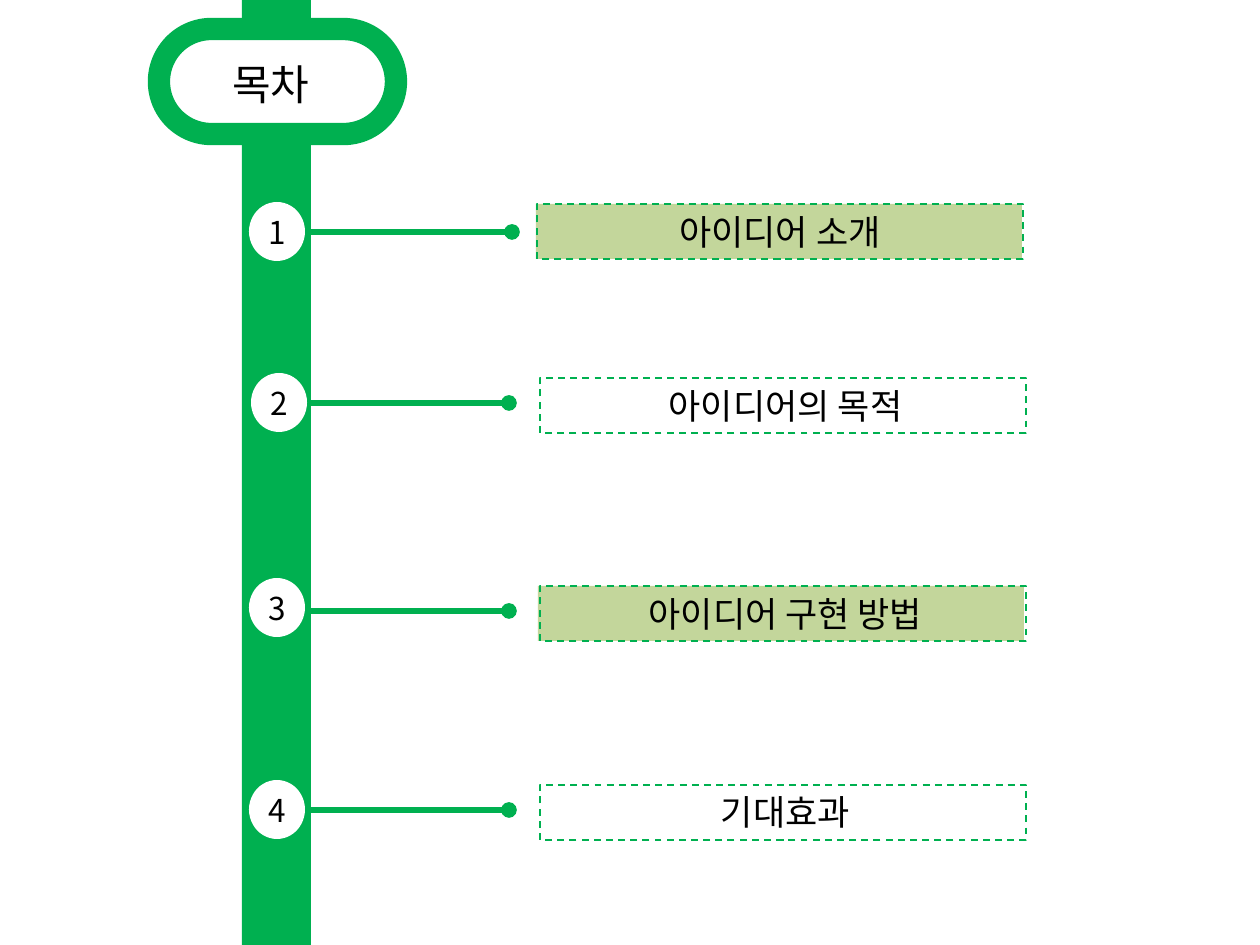
from lxml import etree
from pptx import Presentation
from pptx.dml.color import RGBColor
from pptx.enum.dml import MSO_LINE
from pptx.enum.shapes import MSO_CONNECTOR, MSO_SHAPE
from pptx.enum.text import MSO_ANCHOR, MSO_AUTO_SIZE, PP_ALIGN
from pptx.oxml.ns import qn
from pptx.util import Pt

GREEN = RGBColor(0x00, 0xB0, 0x50)
PALE_GREEN = RGBColor(0xC3, 0xD6, 0x9B)
WHITE = RGBColor(0xFF, 0xFF, 0xFF)
BLACK = RGBColor(0x00, 0x00, 0x00)

RECT = MSO_SHAPE.RECTANGLE
OVAL = MSO_SHAPE.OVAL
PILL = MSO_SHAPE.ROUNDED_RECTANGLE
STRAIGHT = MSO_CONNECTOR.STRAIGHT
DASH = MSO_LINE.DASH
TOP, MIDDLE = MSO_ANCHOR.TOP, MSO_ANCHOR.MIDDLE
LEFT, CENTER = PP_ALIGN.LEFT, PP_ALIGN.CENTER
NO_FIT = MSO_AUTO_SIZE.NONE

FONT = "Noto Sans CJK KR"
PX = 914400 // 126
INSET = {"margin_left": 13, "margin_right": 13, "margin_top": 6, "margin_bottom": 6}
SHIFTED = {**INSET, "margin_left": 18}
NO_INSET = dict.fromkeys(INSET, 0)

ITEMS = [
    {"label": "아이디어 소개", "circle": (249, 202), "line": (305, 232),
     "box": (537, 204), "inset": INSET, "band": (536, 204)},
    {"label": "아이디어의 목적", "circle": (251, 373), "line": (302, 403),
     "box": (540, 378), "inset": SHIFTED, "band": None},
    {"label": "아이디어 구현 방법", "circle": (249, 578), "line": (302, 611),
     "box": (540, 586), "inset": SHIFTED, "band": (538, 586)},
    {"label": "기대효과", "circle": (249, 780), "line": (302, 810),
     "box": (540, 785), "inset": SHIFTED, "band": None},
]


def px(*lengths):
    return [length * PX for length in lengths]


def add_block(page, kind, box, fill=None, width=None, dash=None):
    shape = page.shapes.add_shape(kind, *px(*box))
    shape.shadow.inherit = False
    if fill is None:
        shape.fill.background()
    else:
        shape.fill.solid()
        shape.fill.fore_color.rgb = fill
    if width is None:
        shape.line.fill.background()
    else:
        shape.line.color.rgb = GREEN
        shape.line.width = Pt(width)
        shape.line.dash_style = dash
    return shape


def write(shape, text, size, align, anchor, inset):
    frame = shape.text_frame
    values = {"word_wrap": True, "auto_size": NO_FIT, "vertical_anchor": anchor}
    values.update({side: length * PX for side, length in inset.items()})
    for name, value in values.items():
        setattr(frame, name, value)
    para = frame.paragraphs[0]
    para.alignment = align
    span = para.add_run()
    span.text = text
    for name, value in {"name": FONT, "size": Pt(size)}.items():
        setattr(span.font, name, value)
    span.font.color.rgb = BLACK
    properties = span._r.get_or_add_rPr()
    etree.SubElement(properties, qn("a:ea"), typeface=FONT)


def add_pointer(page, left, top, length):
    line = page.shapes.add_connector(STRAIGHT, *px(left, top, left + length, top))
    line.line.color.rgb = GREEN
    line.line.width = Pt(3)
    etree.SubElement(line.line._get_or_add_ln(), qn("a:tailEnd"), type="oval")
    etree.SubElement(line._element.spPr, qn("a:effectLst"))


def add_heading(page, left, top, width, height):
    pill = add_block(page, PILL, (left, top, width, height), WHITE, 12.75)
    pill.adjustments[0] = 0.5
    title = page.shapes.title
    place = px(left + 60, top + 24, 118, 63)
    for name, value in zip(("left", "top", "width", "height"), place):
        setattr(title, name, value)
    write(title, "목차", 24, LEFT, TOP, INSET)
    page.shapes.element.append(title.element)


def add_item(page, number, item):
    if item["band"]:
        add_block(page, RECT, (*item["band"], 486, 55), PALE_GREEN)
    add_pointer(page, *item["line"], 207)
    circle = add_block(page, OVAL, (*item["circle"], 56, 59), WHITE)
    write(circle, str(number), 18, CENTER, MIDDLE, NO_INSET)
    box = add_block(page, RECT, (*item["box"], 486, 55), width=1, dash=DASH)
    write(box, item["label"], 20, CENTER, TOP, item["inset"])


def main():
    deck = Presentation()
    deck.slide_width, deck.slide_height = px(1260, 945)
    page = deck.slides.add_slide(deck.slide_layouts[5])
    add_block(page, RECT, (242, 0, 69, 945), GREEN)
    for number, item in enumerate(ITEMS, 1):
        add_item(page, number, item)
    add_heading(page, 159, 29, 237, 105)
    deck.save("out.pptx")


if __name__ == "__main__":
    main()
